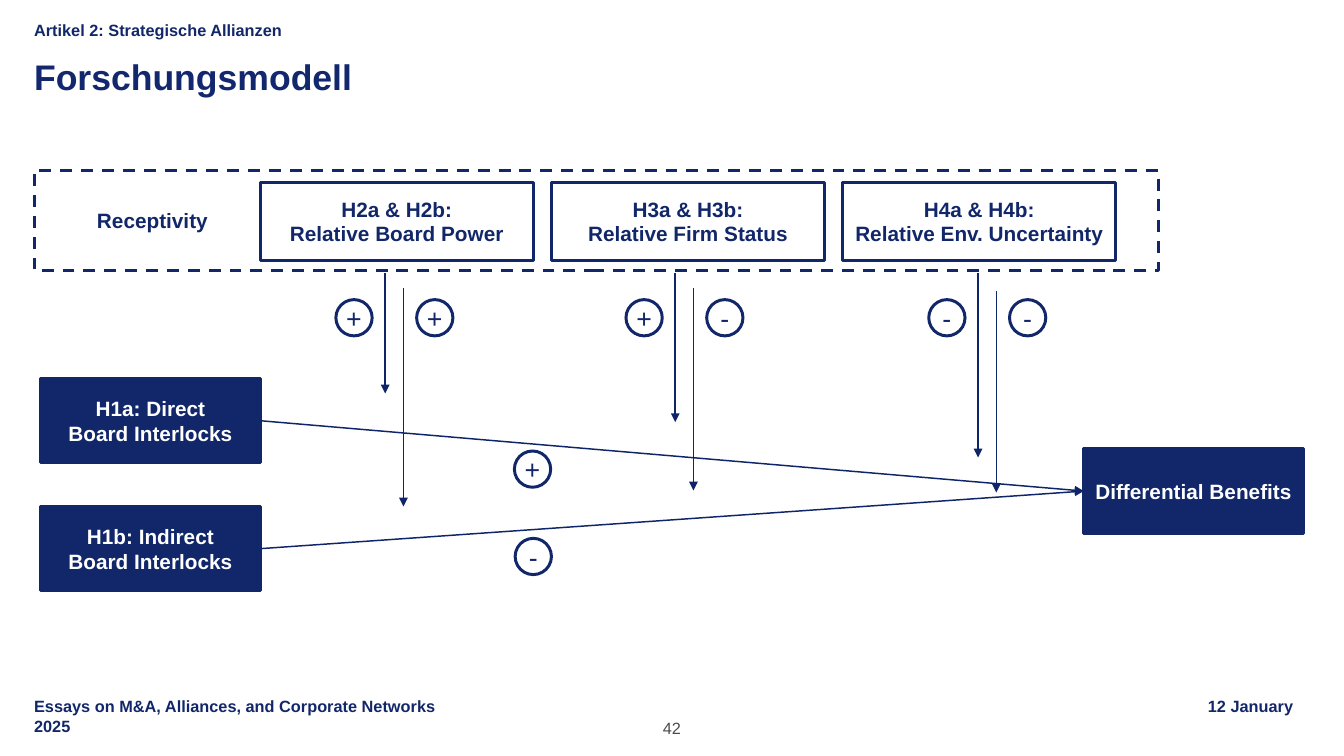
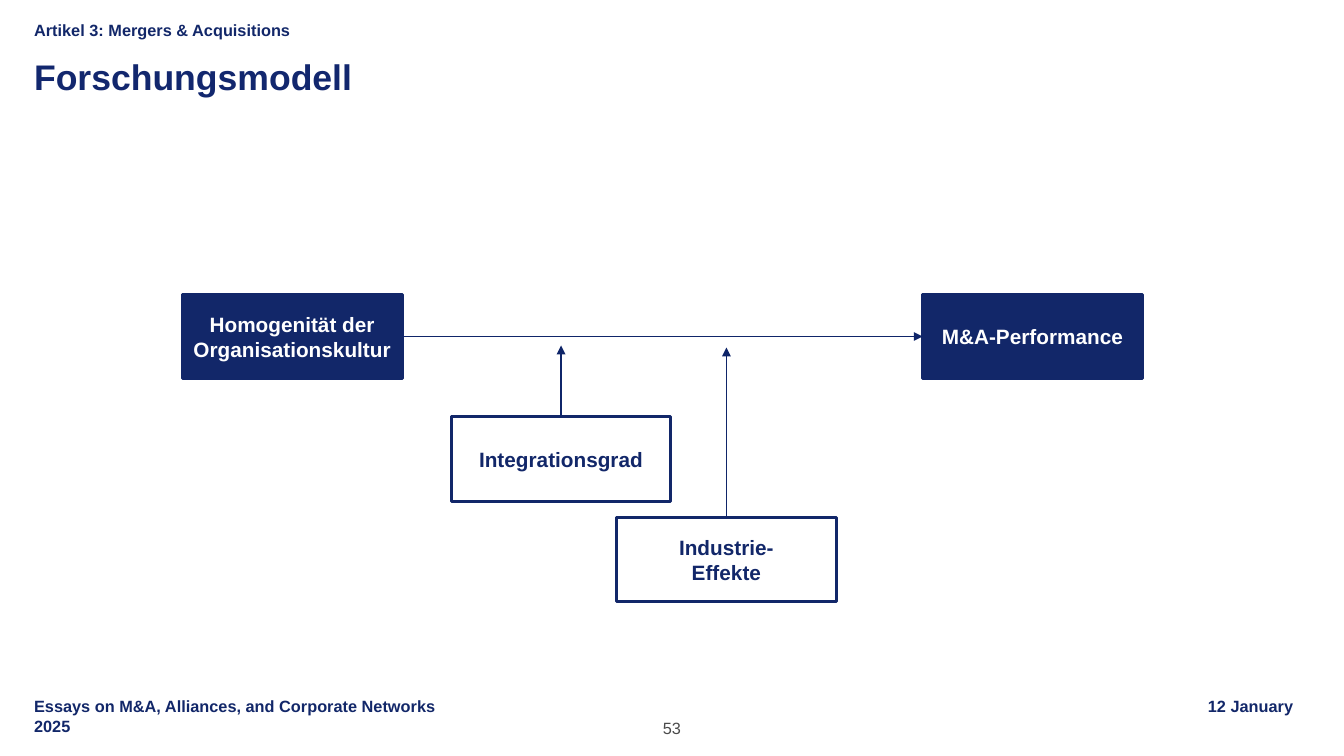
from dataclasses import dataclass

from lxml import etree
from pptx import Presentation
from pptx.dml.color import RGBColor
from pptx.enum import dml, shapes, text
from pptx.oxml import ns
from pptx.util import Pt


@dataclass(frozen=True)
class Theme:
    font: str = "Arial"
    navy: str = "122769"
    title: str = "12276E"
    arrow: str = "0F2569"
    white: str = "FFFFFF"
    grey: str = "4B4B4B"
    small_size: int = 11
    box_size: int = 14
    sign_size: int = 18
    title_size: int = 24


THEME = Theme()
SLIDE_WIDTH, SLIDE_HEIGHT = 907.2, 510.5
MARGIN, CONTENT_WIDTH = 23, 862
BOX_WIDTH, BOX_HEIGHT = 148.3, 57
SIGN_DIAMETER = 24.5
TOP, LEFT, RIGHT = 0, 1, 3  # connection sites of a rectangle


def add_xml(parent, tag, **attributes):
    return etree.SubElement(parent, ns.qn(tag), attributes)


def write(shape, content, size=THEME.box_size, color=THEME.navy, bold=True,
          align=text.PP_ALIGN.LEFT, anchor=text.MSO_ANCHOR.MIDDLE,
          insets=(0, 0, 0, 0), spacing=None, wrap=True, right_tab=None):
    """Fill a shape with text; insets run left, top, right, bottom."""
    frame = shape.text_frame
    frame.word_wrap = wrap
    frame.vertical_anchor = anchor
    (frame.margin_left, frame.margin_top,
     frame.margin_right, frame.margin_bottom) = map(Pt, insets)
    frame.text = content
    for paragraph in frame.paragraphs:
        paragraph.alignment = align
        if spacing:
            paragraph.line_spacing = spacing
        if right_tab:
            tabs = add_xml(paragraph._p.get_or_add_pPr(), "a:tabLst")
            add_xml(tabs, "a:tab", pos=str(Pt(right_tab)), algn="r")
        for run in paragraph.runs:
            run.font.name = THEME.font
            run.font.size = Pt(size)
            run.font.bold = bold
            run.font.color.rgb = RGBColor.from_string(color)


class Deck:
    def __init__(self):
        self.presentation = Presentation()
        self.presentation.slide_width = Pt(SLIDE_WIDTH)
        self.presentation.slide_height = Pt(SLIDE_HEIGHT)
        self.slide = None

    def new_slide(self, section, title, number):
        """Start a slide with its section line, title, footer and number."""
        blank = self.presentation.slide_layouts[6]
        self.slide = self.presentation.slides.add_slide(blank)
        bottom = text.MSO_ANCHOR.BOTTOM
        self.label(number, 421.2, 484.6, 64.8, 13.7, size=THEME.small_size,
                   color=THEME.grey, bold=False, anchor=bottom,
                   align=text.PP_ALIGN.CENTER)
        self.label("Essays on M&A, Alliances, and Corporate Networks"
                   "\t12 January\v2025", MARGIN, 470.2, CONTENT_WIDTH, 26.6,
                   size=THEME.small_size, anchor=bottom, spacing=1.04,
                   right_tab=850)
        self.label(section, MARGIN, 0, CONTENT_WIDTH, 26.6,
                   size=THEME.small_size, anchor=bottom, spacing=1.04)
        self.label(title, MARGIN, 40.3, CONTENT_WIDTH, 52.6,
                   size=THEME.title_size, color=THEME.title,
                   anchor=text.MSO_ANCHOR.TOP, spacing=0.9)

    def label(self, content, left, top, width, height, **style):
        box = self.slide.shapes.add_textbox(*map(Pt, (left, top, width, height)))
        write(box, content, **style)

    def outlined(self, kind, left, top, width, height, fill=THEME.white):
        shape = self.slide.shapes.add_shape(
            kind, *map(Pt, (left, top, width, height)))
        shape.shadow.inherit = False
        shape.fill.solid()
        shape.fill.fore_color.rgb = RGBColor.from_string(fill)
        shape.line.color.rgb = RGBColor.from_string(THEME.navy)
        shape.line.width = Pt(2)
        return shape

    def box(self, content, left, top, width=BOX_WIDTH, height=BOX_HEIGHT,
            solid=False):
        fill, color = ((THEME.navy, THEME.white) if solid
                       else (THEME.white, THEME.navy))
        shape = self.outlined(shapes.MSO_SHAPE.RECTANGLE,
                              left, top, width, height, fill)
        write(shape, content, color=color, align=text.PP_ALIGN.CENTER,
              insets=(5, 3.6, 5, 3.6))
        return shape

    def dashed_frame(self, content, left, top, width, height):
        shape = self.outlined(shapes.MSO_SHAPE.RECTANGLE,
                              left, top, width, height)
        shape.line.dash_style = dml.MSO_LINE.DASH
        write(shape, content, insets=(42.5, 3.6, 7.2, 3.6))

    def sign(self, symbol, center_x, center_y):
        radius = SIGN_DIAMETER / 2
        circle = self.outlined(shapes.MSO_SHAPE.OVAL, center_x - radius,
                               center_y - radius, SIGN_DIAMETER, SIGN_DIAMETER)
        write(circle, symbol, size=THEME.sign_size, bold=False, wrap=False,
              align=text.PP_ALIGN.CENTER)

    def arrow(self, start=(0, 0), end=(0, 0)):
        connector = self.slide.shapes.add_connector(
            shapes.MSO_CONNECTOR.STRAIGHT, *map(Pt, (*start, *end)))
        connector.line.color.rgb = RGBColor.from_string(THEME.arrow)
        connector.line.width = Pt(1)
        add_xml(connector.line._get_or_add_ln(), "a:tailEnd", type="triangle")
        add_xml(connector._element.spPr, "a:effectLst")
        return connector

    def effect(self, cause, outcome):
        """Join the right side of one box to the left side of another."""
        connector = self.arrow()
        connector.begin_connect(cause, RIGHT)
        connector.end_connect(outcome, LEFT)


def build_alliances(deck):
    deck.new_slide("Artikel 2: Strategische Allianzen", "Forschungsmodell", "42")
    deck.dashed_frame("Receptivity", MARGIN, 115.2, 759, 67.7)

    direct = deck.box("H1a: Direct\nBoard Interlocks", 27.4, 255.6, solid=True)
    indirect = deck.box("H1b: Indirect\nBoard Interlocks", 27.4, 342, solid=True)
    benefits = deck.box("Differential Benefits", 731.5, 303.1, solid=True)
    deck.effect(indirect, benefits)
    deck.effect(direct, benefits)
    deck.sign("+", 359.5, 316.8)
    deck.sign("-", 360, 375.8)

    # Text, x of the first arrow, start of the second, both ends, both signs
    moderators = [
        ("H2a & H2b:\nRelative Board Power", 260, 194.4, (265.7, 342), "++"),
        ("H3a & H3b:\nRelative Firm Status", 455.8, 194.4, (285.1, 331.2), "+-"),
        ("H4a & H4b:\nRelative Env. Uncertainty", 660.2, 196.6,
         (308.9, 332.6), "--"),
    ]
    for index, (content, x, second_start, ends, signs) in enumerate(moderators):
        deck.box(content, 175.7 + index * 196.6, 123.1, 184.3, 52.6)
        deck.arrow((x, 184.3), (x, ends[0]))
        deck.arrow((x + 12.3, second_start), (x + 12.3, ends[1]))
        for symbol, offset in zip(signs, (-21, 33.5)):
            deck.sign(symbol, x + offset, 214.6)


def build_mergers(deck):
    deck.new_slide("Artikel 3: Mergers & Acquisitions", "Forschungsmodell", "53")
    culture = deck.box("Homogenität der Organisationskultur", 123.1, 198.7,
                       solid=True)
    performance = deck.box("M&A-Performance", 622.8, 198.7, solid=True)
    deck.effect(culture, performance)

    for content, left, top, arrow_end in (
            ("Integrationsgrad", 304.6, 281.5, 233.3),
            ("Industrie-\nEffekte", 416.2, 349.2, 234.7)):
        moderator = deck.box(content, left, top)
        x = left + BOX_WIDTH / 2
        deck.arrow((x, top), (x, arrow_end)).begin_connect(moderator, TOP)


def main():
    deck = Deck()
    build_alliances(deck)
    build_mergers(deck)
    deck.presentation.save("out.pptx")


if __name__ == "__main__":
    main()
